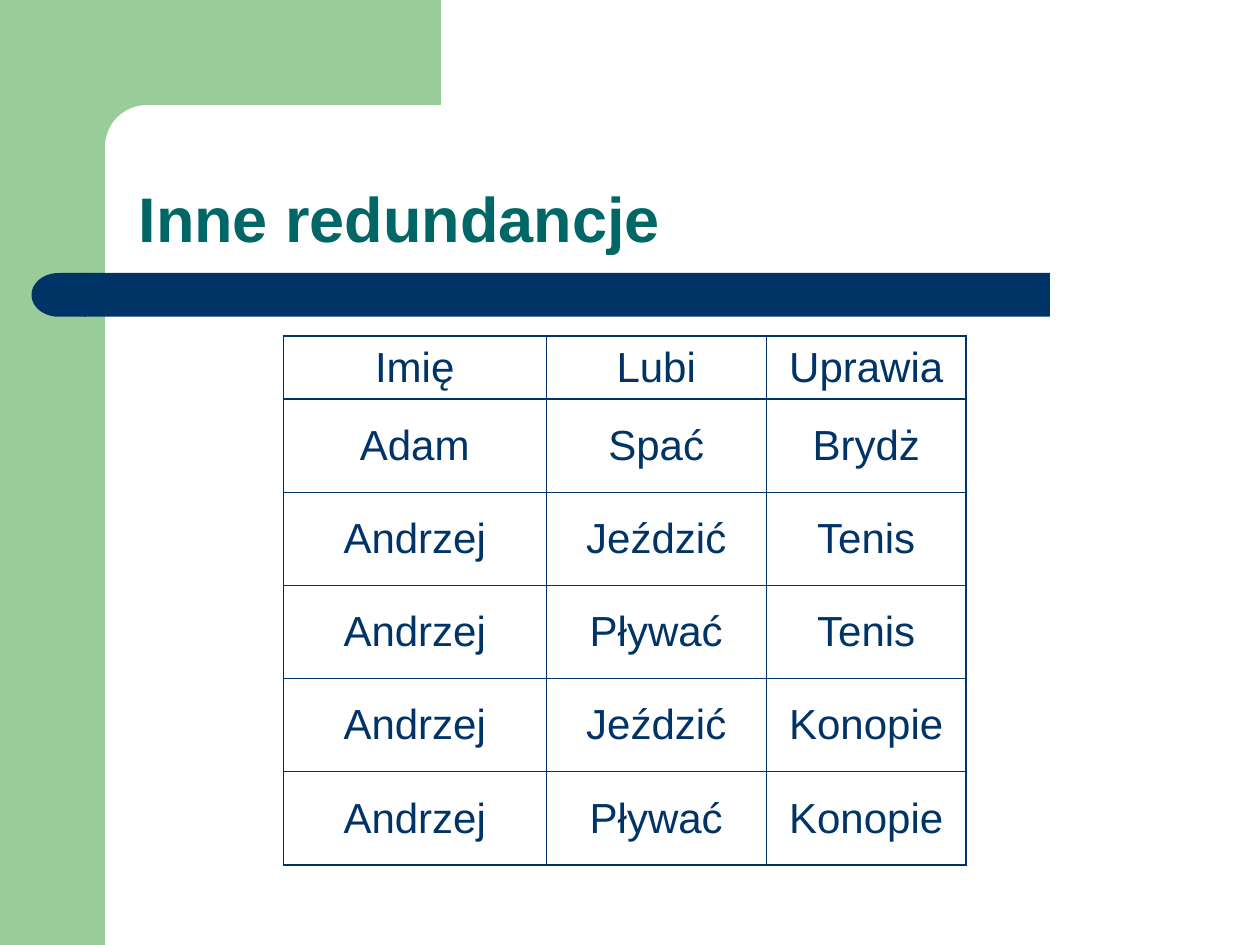
import pptx
import pptx.dml.color
import pptx.enum.shapes
import pptx.enum.text
import pptx.oxml
import pptx.oxml.ns
import pptx.util
from lxml import etree

Pt = pptx.util.Pt
RGB = pptx.dml.color.RGBColor.from_string
SHAPES = pptx.enum.shapes.MSO_SHAPE
ALIGN = pptx.enum.text.PP_ALIGN
ANCHOR = pptx.enum.text.MSO_ANCHOR
qn = pptx.oxml.ns.qn

COLORS = {"green": "99CC99", "white": "FFFFFF", "navy": "003366", "teal": "006666"}
THICK, THIN = 1.08, 0.45


def add_cell_border(cell, side, width):
    properties = cell._tc.get_or_add_tcPr()
    line = etree.SubElement(properties, qn(f"a:ln{side}"), w=str(Pt(width)))
    fill = etree.SubElement(line, qn("a:solidFill"))
    etree.SubElement(fill, qn("a:srgbClr"), val=COLORS["navy"])


presentation = pptx.Presentation()
presentation.slide_width, presentation.slide_height = Pt(720), Pt(540)
slide = presentation.slides.add_slide(presentation.slide_layouts[5])

# Green corner, white rounded panel and navy bar
decorations = [
    (SHAPES.RECTANGLE, 0, 0, 60, 540, "green"),
    (SHAPES.RECTANGLE, 54, 0, 198, 84, "green"),
    (SHAPES.ROUNDED_RECTANGLE, 60, 60, 402, 48, "white"),
    (SHAPES.RECTANGLE, 48, 156, 552, 25, "navy"),
    (SHAPES.FLOWCHART_DELAY, 18, 156, 31, 25, "navy"),
]
for outline, left, top, width, height, color in decorations:
    decoration = slide.shapes.add_shape(outline, Pt(left), Pt(top), Pt(width), Pt(height))
    decoration.shadow.inherit = False
    decoration.fill.solid()
    decoration.fill.fore_color.rgb = RGB(COLORS[color])
    decoration.line.fill.background()
    if outline == SHAPES.ROUNDED_RECTANGLE:
        decoration.adjustments[0] = 0.5
    elif outline == SHAPES.FLOWCHART_DELAY:
        decoration.rotation = 180

# Title, brought in front of the white panel
heading = slide.shapes.title
heading.element.getparent().append(heading.element)
heading.left, heading.top, heading.width, heading.height = Pt(72), Pt(60), Pt(630), Pt(90)
heading.text_frame.text = "Inne redundancje"
heading.text_frame.auto_size = pptx.enum.text.MSO_AUTO_SIZE.NONE
heading.text_frame.vertical_anchor = ANCHOR.BOTTOM
heading_line = heading.text_frame.paragraphs[0]
heading_line.alignment = ALIGN.LEFT
heading_line.line_spacing = 0.9
heading_font = heading_line.runs[0].font
heading_font.name, heading_font.size, heading_font.bold = "Arial", Pt(36), True
heading_font.color.rgb = RGB(COLORS["teal"])

# Table of people, likes and sports
people = [
    ("Imię", "Lubi", "Uprawia"),
    ("Adam", "Spać", "Brydż"),
    ("Andrzej", "Jeździć", "Tenis"),
    ("Andrzej", "Pływać", "Tenis"),
    ("Andrzej", "Jeździć", "Konopie"),
    ("Andrzej", "Pływać", "Konopie"),
]
column_widths = [150, 126, 114]
row_heights = [36] + [53.28] * 5
last_row, last_column = len(people) - 1, len(column_widths) - 1
people_table = slide.shapes.add_table(
    len(people), len(column_widths), Pt(162), Pt(192),
    Pt(sum(column_widths)), Pt(sum(row_heights))).table
people_table.first_row = people_table.horz_banding = False
for column, width in zip(people_table.columns, column_widths):
    column.width = Pt(width)

for r, entries in enumerate(people):
    people_table.rows[r].height = Pt(row_heights[r])
    for c, entry in enumerate(entries):
        cell = people_table.cell(r, c)
        # Thick lines around the table and under the header
        thick_sides = {"L": c == 0, "R": c == last_column,
                       "T": r <= 1, "B": r in (0, last_row)}
        for side, is_thick in thick_sides.items():
            add_cell_border(cell, side, THICK if is_thick else THIN)
        cell.fill.background()
        cell.vertical_anchor = ANCHOR.MIDDLE
        cell.text_frame.text = entry
        entry_line = cell.text_frame.paragraphs[0]
        entry_line.alignment = ALIGN.CENTER
        entry_font = entry_line.runs[0].font
        entry_font.name, entry_font.size = "Arial", Pt(24)
        entry_font.color.rgb = RGB(COLORS["navy"])

presentation.save("out.pptx")
